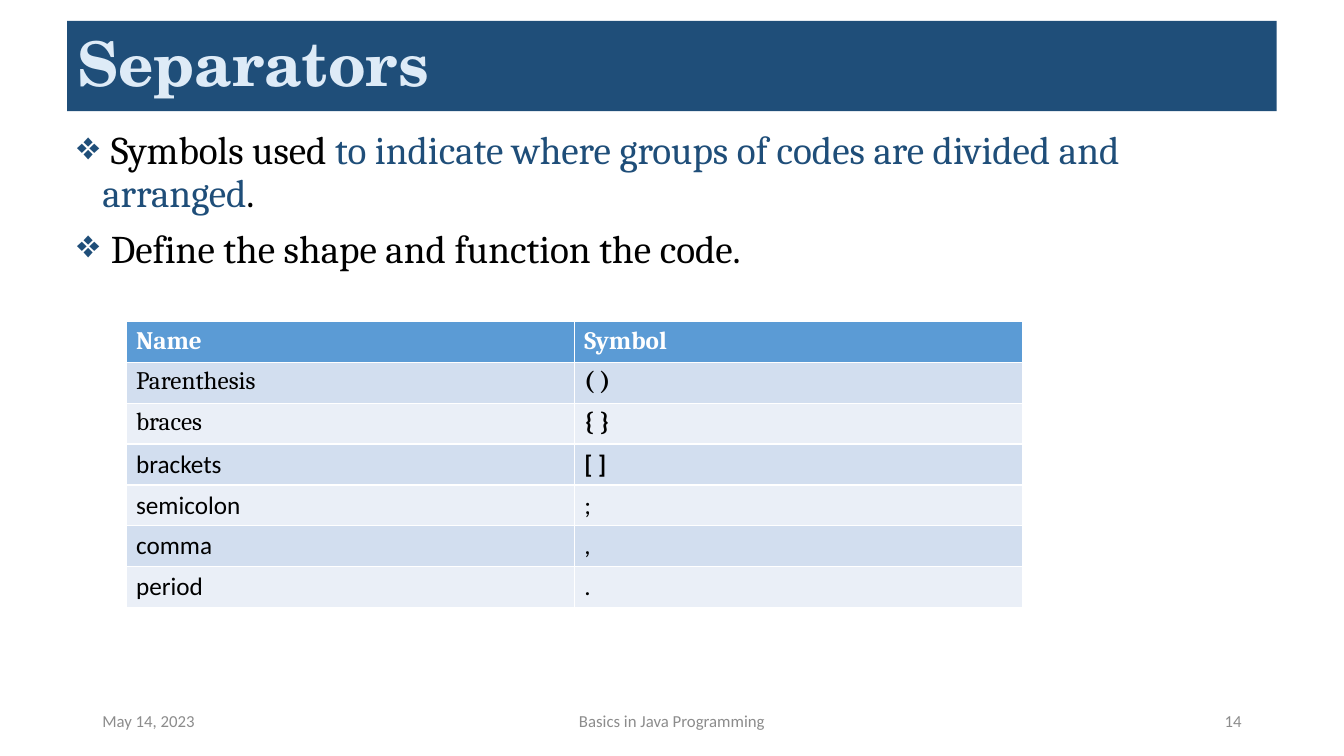
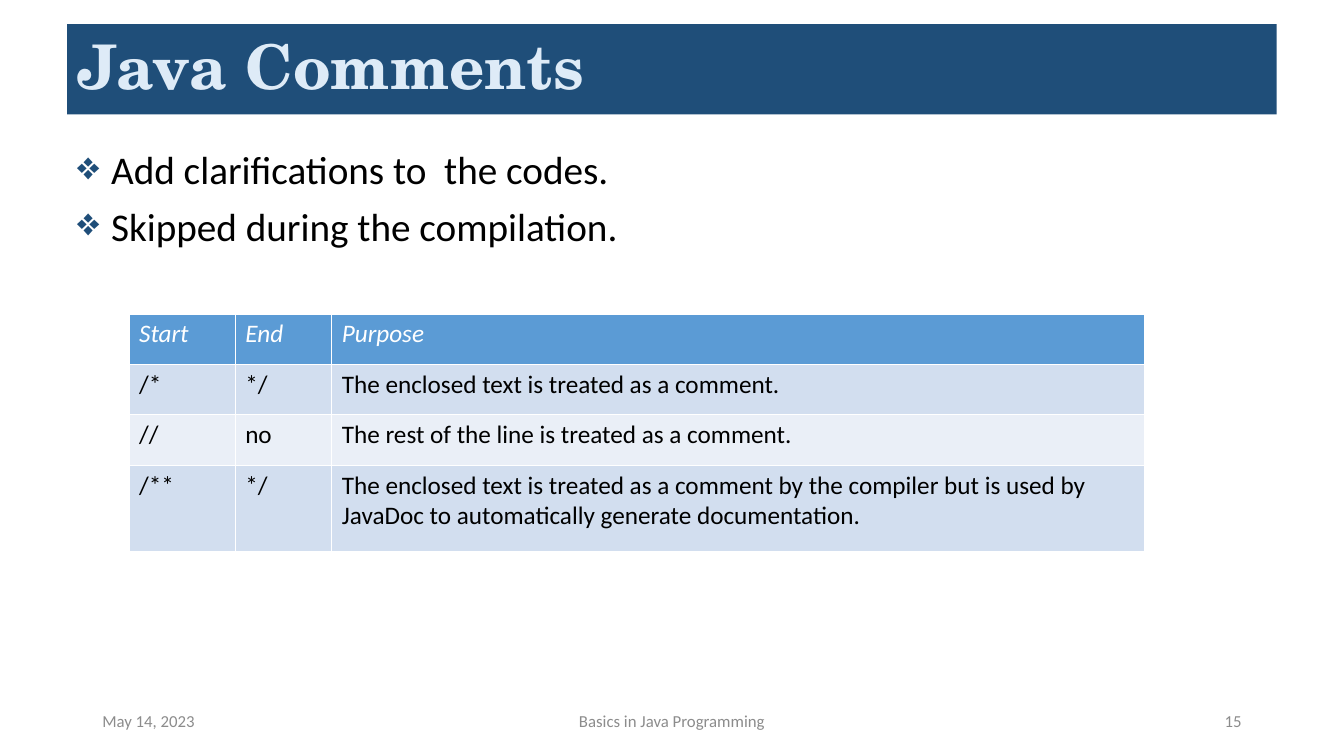
from dataclasses import dataclass

from lxml.etree import SubElement
from pptx import Presentation
from pptx.dml.color import RGBColor as Rgb
from pptx.enum.shapes import MSO_SHAPE as Shape
from pptx.enum.text import MSO_ANCHOR as Anchor, PP_ALIGN as Align
from pptx.oxml.ns import qn
from pptx.util import Pt


@dataclass(frozen=True)
class Theme:
    navy: Rgb = Rgb.from_string("1F4E79")
    pale: Rgb = Rgb.from_string("DEEBF7")
    blue: Rgb = Rgb.from_string("5B9BD5")
    odd: Rgb = Rgb.from_string("D2DEEF")
    even: Rgb = Rgb.from_string("EAEFF7")
    gray: Rgb = Rgb.from_string("8C8C8C")
    black: Rgb = Rgb.from_string("000000")
    white: Rgb = Rgb.from_string("FFFFFF")
    head: str = "TeX Gyre Schola"
    serif: str = "Cambria"
    sans: str = "Calibri"
    title: int = 44
    body: int = 28
    cell: int = 18
    foot: int = 12


T = Theme()
PX = 9525


def px(*nums):
    return [n * PX for n in nums]


def style(para, name, size, color, bold=False, italic=False):
    font = para.font
    font.name, font.size, font.bold, font.italic = name, Pt(size), bold, italic
    font.color.rgb = color


pages = [
    {
        "title": "Separators", "top": 20, "num": "14",
        "body": 120, "font": T.serif,
        "points": [
            [(" Symbols used ", T.black),
             ("to indicate where groups of codes are divided and arranged", T.navy),
             (".", T.black)],
            [(" Define the shape and function the code.", T.black)],
        ],
        "at": (120, 306), "cols": [427, 427], "rows": [39] * 7,
        "cells": [
            ["Name", "Symbol"],
            ["Parenthesis", "( )"],
            ["braces", "{ }"],
            ["brackets", "[ ]"],
            ["semicolon", ";"],
            ["comma", ","],
            ["period", "."],
        ],
        "serif": 3, "bold": {"Name", "Symbol", "( )", "{ }", "[ ]"}, "slant": False,
    },
    {
        "title": "Java Comments", "top": 23, "num": "15",
        "body": 139, "font": T.sans,
        "points": [
            [(" Add clarifications to  the codes.", T.black)],
            [(" Skipped during the compilation.", T.black)],
        ],
        "at": (123, 299), "cols": [101, 92, 774], "rows": [48, 48, 48, 82],
        "cells": [
            ["Start", "End", "Purpose"],
            ["/*", "*/", "The enclosed text is treated as a comment."],
            ["//", "no", "The rest of the line is treated as a comment."],
            ["/**", "*/", "The enclosed text is treated as a comment by the compiler "
             "but is used by JavaDoc to automatically generate documentation."],
        ],
        "serif": 0, "bold": set(), "slant": True,
    },
]

deck = Presentation()
deck.slide_width, deck.slide_height = px(1280, 720)

for page in pages:
    slide = deck.slides.add_slide(deck.slide_layouts[6])
    shapes = slide.shapes

    band = shapes.add_shape(Shape.RECTANGLE, *px(64, page["top"], 1152, 86))
    band.shadow.inherit = False
    band.fill.solid()
    band.fill.fore_color.rgb = T.navy
    band.line.fill.background()
    frame = band.text_frame
    frame.word_wrap = True
    frame.vertical_anchor = Anchor.MIDDLE
    para = frame.paragraphs[0]
    para.text = page["title"]
    para.alignment = Align.LEFT
    para.line_spacing = 0.9
    style(para, T.head, T.title, T.pale, bold=True)

    frame = shapes.add_textbox(*px(64, page["body"], 1152, 566)).text_frame
    frame.word_wrap = True
    for i, point in enumerate(page["points"]):
        para = frame.add_paragraph() if i else frame.paragraphs[0]
        para.line_spacing = 0.9
        para.space_before = Pt(10)
        props = para._p.get_or_add_pPr()
        props.set("marL", str(24 * PX))
        props.set("indent", str(-24 * PX))
        tint = SubElement(props, qn("a:buClr"))
        SubElement(tint, qn("a:srgbClr"), val=str(T.navy))
        SubElement(props, qn("a:buChar"), char="❖")
        style(para, page["font"], T.body, T.black)
        for text, color in point:
            run = para.add_run()
            run.text = text
            run.font.color.rgb = color

    cols, rows = page["cols"], page["rows"]
    grid = shapes.add_table(len(rows), len(cols),
                            *px(*page["at"], sum(cols), sum(rows))).table
    for col, wide in zip(grid.columns, cols):
        col.width = wide * PX
    for r, (row, high) in enumerate(zip(grid.rows, rows)):
        row.height = high * PX
        top = r == 0
        fill = T.blue if top else (T.even, T.odd)[r % 2]
        name = T.serif if r < page["serif"] else T.sans
        for cell, text in zip(row.cells, page["cells"][r]):
            cell.fill.solid()
            cell.fill.fore_color.rgb = fill
            para = cell.text_frame.paragraphs[0]
            para.text = text
            style(para, name, T.cell, T.white if top else T.black,
                  text in page["bold"], top and page["slant"])

    for left, wide, text, align in (
        (88, 288, "May 14, 2023", Align.LEFT),
        (424, 432, "Basics in Java Programming", Align.CENTER),
        (904, 288, page["num"], Align.RIGHT),
    ):
        frame = shapes.add_textbox(*px(left, 667, wide, 38)).text_frame
        frame.word_wrap = True
        frame.vertical_anchor = Anchor.MIDDLE
        para = frame.paragraphs[0]
        para.text = text
        para.alignment = align
        style(para, T.sans, T.foot, T.gray)

deck.save("out.pptx")
